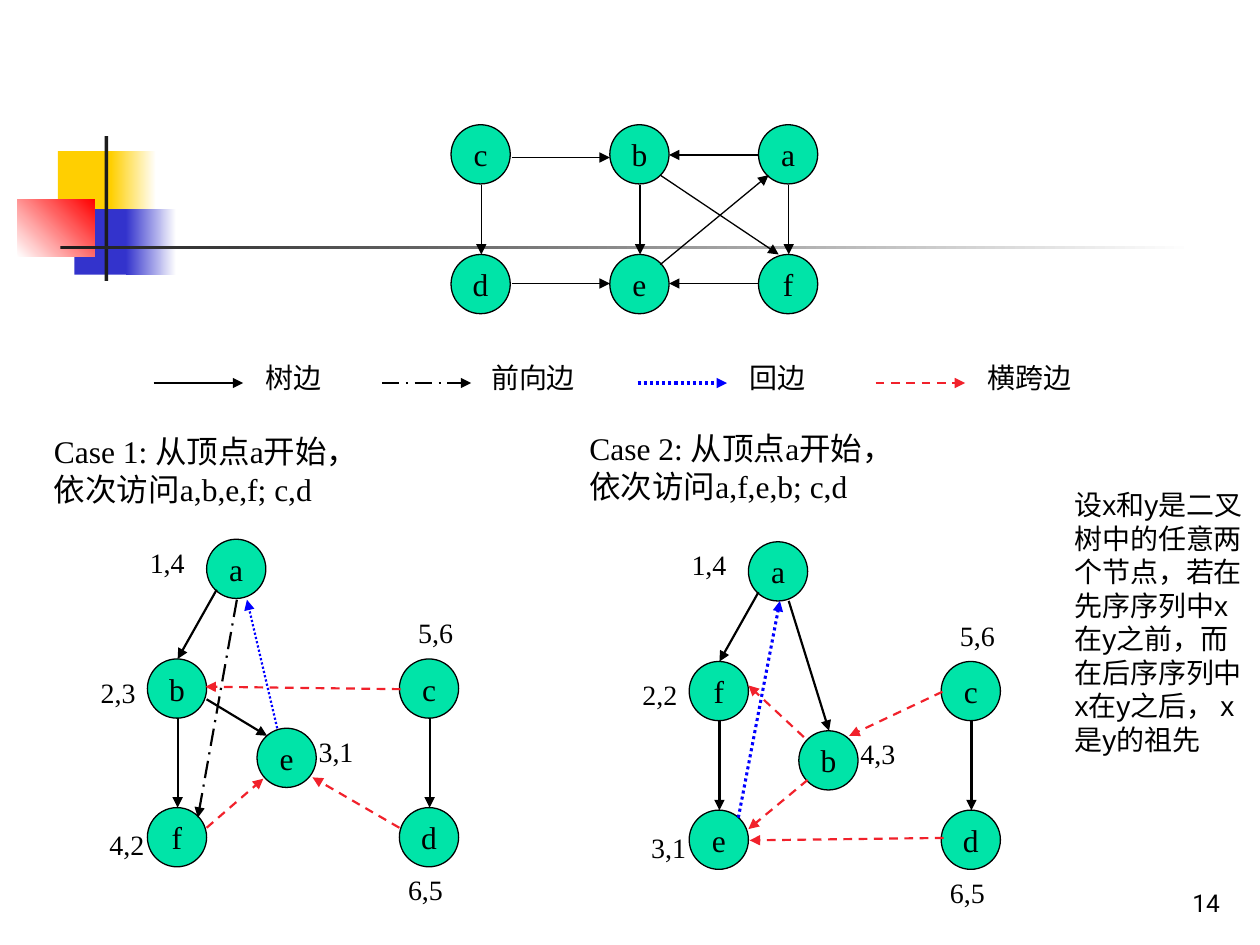
from lxml import etree
from pptx import Presentation
from pptx.dml.color import RGBColor
from pptx.enum.dml import MSO_LINE
from pptx.enum.shapes import MSO_CONNECTOR, MSO_SHAPE
from pptx.enum.text import MSO_ANCHOR, PP_ALIGN
from pptx.oxml.ns import qn
from pptx.util import Pt

PX = 9144
SIZE = 47
BLACK = RGBColor(0x00, 0x00, 0x00)
WHITE = RGBColor(0xFF, 0xFF, 0xFF)
GREEN = RGBColor(0x00, 0xE4, 0xA8)
BLUE = RGBColor(0x00, 0x00, 0xFF)
RED = RGBColor(0xF1, 0x21, 0x2B)
GOLD = RGBColor(0xFF, 0xCF, 0x01)
NAVY = RGBColor(0x33, 0x33, 0xCC)
FLAME = RGBColor(0xFF, 0x00, 0x00)
COAL = RGBColor(0x1C, 0x1C, 0x1C)

RECT, OVAL = MSO_SHAPE.RECTANGLE, MSO_SHAPE.OVAL
STRAIGHT = MSO_CONNECTOR.STRAIGHT
LEFT, CENTER, RIGHT = PP_ALIGN.LEFT, PP_ALIGN.CENTER, PP_ALIGN.RIGHT
TOP, MIDDLE, BOTTOM = MSO_ANCHOR.TOP, MSO_ANCHOR.MIDDLE, MSO_ANCHOR.BOTTOM

PLAIN = (BLACK, 0.75, None)
TREE = (BLACK, 1.25, None)
FORE = (BLACK, 1.25, MSO_LINE.LONG_DASH_DOT)
BACK = (BLUE, 1.75, MSO_LINE.ROUND_DOT)
THIN = (BLUE, 1.25, MSO_LINE.ROUND_DOT)
CROSS = (RED, 1.25, MSO_LINE.DASH)


def emu(*vals):
    return [v * PX for v in vals]


def write(shape, text, size=16, font="Times New Roman", align=LEFT, anchor=TOP, wrap=False):
    frame = shape.text_frame
    frame.text = text
    frame.word_wrap = wrap
    frame.vertical_anchor = anchor
    for para in frame.paragraphs:
        para.alignment = align
        para.font.size = Pt(size)
        para.font.name = font
        para.font.color.rgb = BLACK


def label(slide, text, box, **form):
    write(slide.shapes.add_textbox(*emu(*box)), text, **form)


def block(slide, box, first, last=None, angle=0):
    shape = slide.shapes.add_shape(RECT, *emu(*box))
    shape.shadow.inherit = False
    shape.line.fill.background()
    if last is None:
        shape.fill.solid()
        shape.fill.fore_color.rgb = first
        return
    shape.fill.gradient()
    shape.fill.gradient_angle = angle
    for stop, color, spot in zip(shape.fill.gradient_stops, (first, last), (0, 1)):
        stop.color.rgb = color
        stop.position = spot


def node(slide, text, x, y):
    shape = slide.shapes.add_shape(OVAL, *emu(x, y, SIZE, SIZE))
    shape.shadow.inherit = False
    shape.fill.solid()
    shape.fill.fore_color.rgb = GREEN
    shape.line.color.rgb = BLACK
    shape.line.width = Pt(0.75)
    write(shape, text, size=18, align=CENTER, anchor=MIDDLE)


def arrow(slide, x, y, ends, style):
    x1, y1, x2, y2 = ends
    link = slide.shapes.add_connector(STRAIGHT, *emu(x + x1, y + y1, x + x2, y + y2))
    color, width, dash = style
    link.line.color.rgb = color
    link.line.width = Pt(width)
    if dash is not None:
        link.line.dash_style = dash
    tip = etree.SubElement(link.line._get_or_add_ln(), qn("a:tailEnd"))
    tip.set("type", "triangle")
    etree.SubElement(link._element.spPr, qn("a:effectLst"))


def motif(slide, x, y):
    block(slide, (x + 32, y + 12, 48, 52), GOLD)
    block(slide, (x + 74, y + 12, 36, 52), GOLD, WHITE)
    block(slide, (x + 45, y + 58, 46, 52), NAVY)
    block(slide, (x + 86, y + 58, 40, 52), NAVY, WHITE)
    block(slide, (x, y + 50, 61, 46), WHITE, FLAME, 45)
    block(slide, (x + 69, y, 3, 115), COAL)
    block(slide, (x + 34, y + 87, 900, 3), COAL, WHITE)


def graph(slide, x, y):
    for row, names in enumerate(("cba", "def")):
        for name, left in zip(names, (0, 126, 244)):
            node(slide, name, x + left, y + row * 103)
    for mid in (24, 150, 268):
        arrow(slide, x, y, (mid, 48, mid, 103), PLAIN)
    for ends in (
        (244, 24, 173, 24), (48, 26, 126, 26), (48, 126, 126, 126),
        (244, 126, 173, 126), (166, 40, 260, 103), (166, 111, 252, 40),
    ):
        arrow(slide, x, y, ends, PLAIN)


def legend(slide, x, y):
    for left, gap, width, text, style in (
        (0, 79, 65, "树边", TREE), (181, 77, 87, "前向边", FORE),
        (384, 79, 65, "回边", BACK), (573, 79, 87, "横跨边", CROSS),
    ):
        arrow(slide, x + left, y, (0, 23, 71, 23), style)
        label(slide, text, (x + left + gap, y, width, 37))


def case(slide, x, y, names, marks, edges):
    spots = ((94, 0), (47, 95), (134, 150), (47, 213), (247, 95), (247, 213))
    notes = ((39, 0), (0, 103), (173, 150), (7, 224), (252, 56), (244, 260))
    for name, (left, top) in zip(names, spots):
        node(slide, name, x + left, y + top)
    for mark, (left, top) in zip(marks, notes):
        label(slide, mark, (x + left, y + top, 48, 37))
    shared = [(102, 40, 71, 95), (71, 142, 71, 213), (271, 142, 271, 213)]
    for ends, style in [(ends, TREE) for ends in shared] + edges:
        arrow(slide, x, y, ends, style)


def main():
    deck = Presentation()
    deck.slide_width, deck.slide_height = emu(1000, 750)
    slide = deck.slides.add_slide(deck.slide_layouts[6])
    motif(slide, 14, 108)
    graph(slide, 358, 99)
    legend(slide, 122, 281)
    label(slide, "Case 1: 从顶点a开始，\n依次访问a,b,e,f; c,d", (33, 338, 277, 70), size=18, wrap=True)
    case(slide, 70, 428, "abefcd", ("1,4", "2,3", "3,1", "4,2", "5,6", "6,5"), [
        ((94, 127, 142, 156), TREE), ((118, 48, 87, 221), FORE),
        ((94, 229, 139, 190), CROSS), ((150, 150, 126, 48), THIN),
        ((247, 229, 178, 189), CROSS), ((248, 119, 93, 117), CROSS),
    ])
    label(slide, "Case 2: 从顶点a开始，\n依次访问a,f,e,b; c,d", (458, 336, 277, 70), size=18, wrap=True)
    case(slide, 500, 430, "afbecd", ("1,4", "2,2", "4,3", "3,1", "5,6", "6,5"), [
        ((141, 189, 94, 228), CROSS), ((249, 235, 95, 237), CROSS),
        ((248, 119, 174, 154), CROSS), ((138, 155, 94, 114), CROSS),
        ((126, 47, 158, 150), TREE), ((86, 219, 119, 47), BACK),
    ])
    label(slide, "14", (770, 683, 208, 50), size=14, font="Roboto",
          align=RIGHT, anchor=BOTTOM, wrap=True)
    label(slide, "设x和y是二叉树中的任意两个节点，若在先序序列中x在y之前，而在后序序列中x在y之后， x是y的祖先",
          (843, 382, 157, 226), font="Arial", wrap=True)
    deck.save("out.pptx")


if __name__ == "__main__":
    main()
